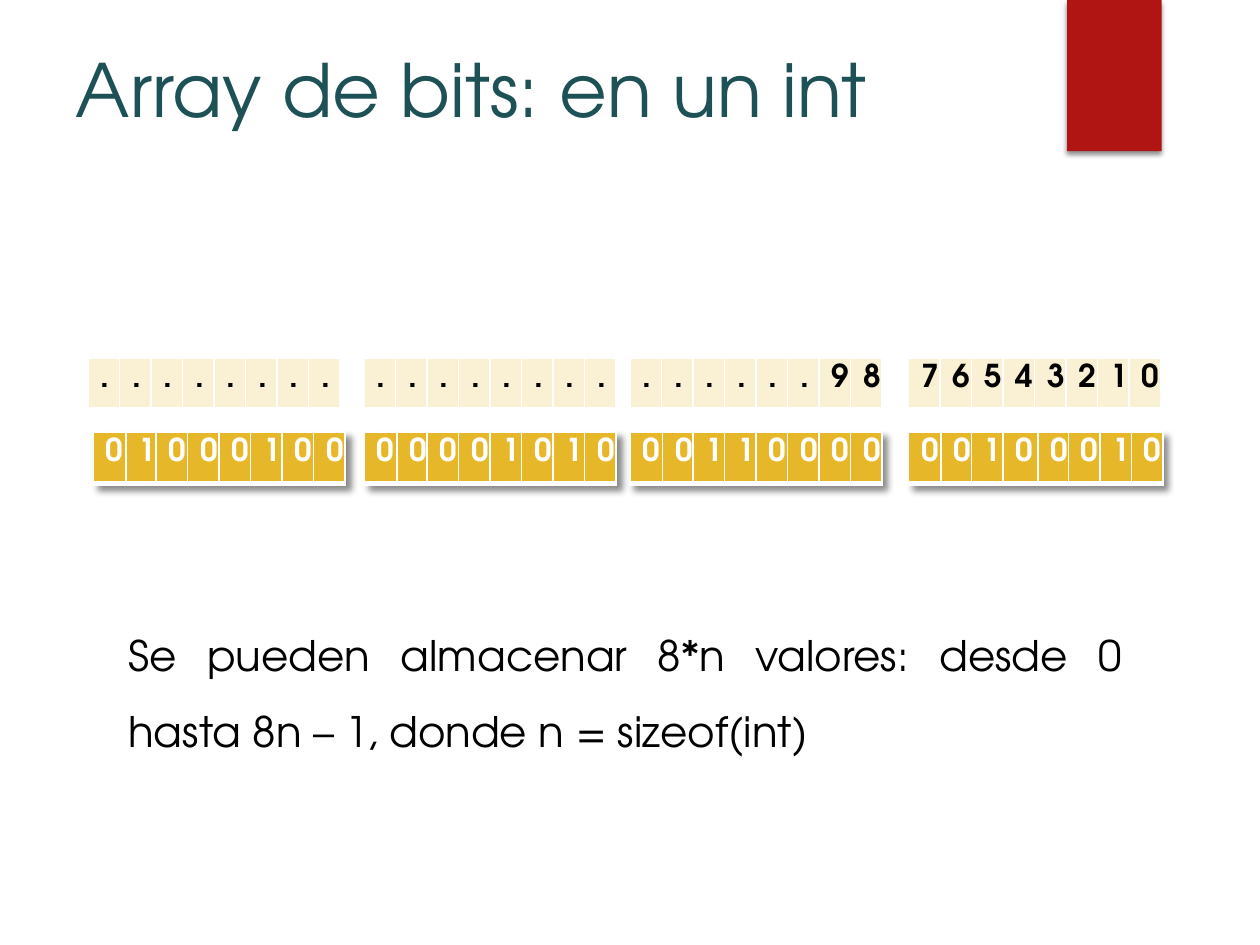
from lxml.etree import SubElement as Sub
from pptx import Presentation
from pptx.dml.color import RGBColor as RGB
from pptx.enum.shapes import MSO_SHAPE as SHAPE
from pptx.enum.text import MSO_ANCHOR as ANCHOR, PP_ALIGN as ALIGN
from pptx.oxml.ns import qn
from pptx.util import Inches, Pt

FONT = "TeX Gyre Adventor"
COLORS = {"title": "1E5155", "tab": "B01513", "pale": "FAF1D4",
          "gold": "E6B729", "black": "000000", "white": "FFFFFF"}
TITLE = "Array de bits: en un int"
NOTE = ("Se pueden almacenar 8*n valores: desde 0 hasta 8n \u2013 1, "
        "donde n = sizeof(int)")
EVEN = [0.25] * 8
FIRST = [0.26, 0.24] + [0.25] * 6
LAST = [0.26, 0.24, 0.25, 0.28, 0.23] + [0.25] * 3
# left, cells, column widths
INDEX = [(0.7, "........", EVEN), (2.89, "........", EVEN),
         (5, "......98", EVEN), (7.21, "76543210", EVEN)]
BITS = [(0.74, "01000100", FIRST), (2.89, "00001010", FIRST),
        (5, "00110000", FIRST), (7.21, "00100010", LAST)]
# top, bytes, fill, text colour, shadow
ROWS = [(2.84, INDEX, "pale", "black", False),
        (3.43, BITS, "gold", "white", True)]
HIGH = 0.41
EDGES = {"a:lnL": 1, "a:lnR": 1, "a:lnT": 1, "a:lnB": 3}


def color(name):
    """Return a named colour."""
    return RGB.from_string(COLORS[name])


def style(para, size, ink, align=ALIGN.LEFT, bold=False):
    """Set the font and alignment of a paragraph."""
    font = para.font
    font.name, font.size, font.bold = FONT, Pt(size), bold
    font.color.rgb = color(ink)
    para.alignment = align


def shade(effects, blur, dist, angle, alpha):
    """Add an outer shadow to an effect list."""
    outer = Sub(effects, qn("a:outerShdw"), blurRad=str(Pt(blur)),
                dist=str(Pt(dist)), dir=str(angle * 60000), rotWithShape="0")
    tint = Sub(outer, qn("a:srgbClr"), val=COLORS["black"])
    Sub(tint, qn("a:alpha"), val=str(alpha * 1000))


def border(cell):
    """Draw white lines round a cell."""
    props = cell._tc.get_or_add_tcPr()
    for spot, (tag, width) in enumerate(EDGES.items()):
        line = props.makeelement(qn(tag), {"w": str(Pt(width))})
        props.insert(spot, line)
        Sub(Sub(line, qn("a:solidFill")), qn("a:srgbClr"), val=COLORS["white"])


def add_byte(slide, left, top, text, widths, fill, ink, shadow):
    """Add one byte as a table with a cell for each bit."""
    frame = slide.shapes.add_table(1, len(text), Inches(left), Inches(top),
                                   Inches(sum(widths)), Inches(HIGH))
    table = frame.table
    table.first_row = table.horz_banding = False
    if shadow:
        props = table._tbl.tblPr
        effects = props.makeelement(qn("a:effectLst"), {})
        props.insert(0, effects)
        shade(effects, 4, 4, 45, 45)
    for col, (char, width) in enumerate(zip(text, widths)):
        table.columns[col].width = Inches(width)
        cell = table.cell(0, col)
        cell.text = char
        cell.fill.solid()
        cell.fill.fore_color.rgb = color(fill)
        style(cell.text_frame.paragraphs[0], 18, ink, ALIGN.CENTER, True)
        border(cell)


deck = Presentation()
deck.slide_width, deck.slide_height = Inches(10), Inches(7.5)
slide = deck.slides.add_slide(deck.slide_layouts[5])

tab = slide.shapes.add_shape(SHAPE.RECTANGLE, Inches(8.47), 0,
                             Inches(0.75), Inches(1.2))
tab.fill.solid()
tab.fill.fore_color.rgb = color("tab")
tab.line.fill.background()
tab.shadow.inherit = False
shade(tab._element.spPr.find(qn("a:effectLst")), 3, 2, 90, 45)

title = slide.shapes.title
title.left, title.top = Inches(0.5), Inches(0.3)
title.width, title.height = Inches(9), Inches(1.25)
title.text_frame.text = TITLE
title.text_frame.vertical_anchor = ANCHOR.TOP
style(title.text_frame.paragraphs[0], 42, "title")

for top, group, fill, ink, shadow in ROWS:
    for left, text, widths in group:
        add_byte(slide, left, top, text, widths, fill, ink, shadow)

note = slide.shapes.add_textbox(Inches(0.92), Inches(4.75),
                                Inches(8.08), Inches(1.24)).text_frame
note.word_wrap = True
note.text = NOTE
para = note.paragraphs[0]
style(para, 24, "black", ALIGN.JUSTIFY)
para.line_spacing = 1.5

deck.save("out.pptx")
